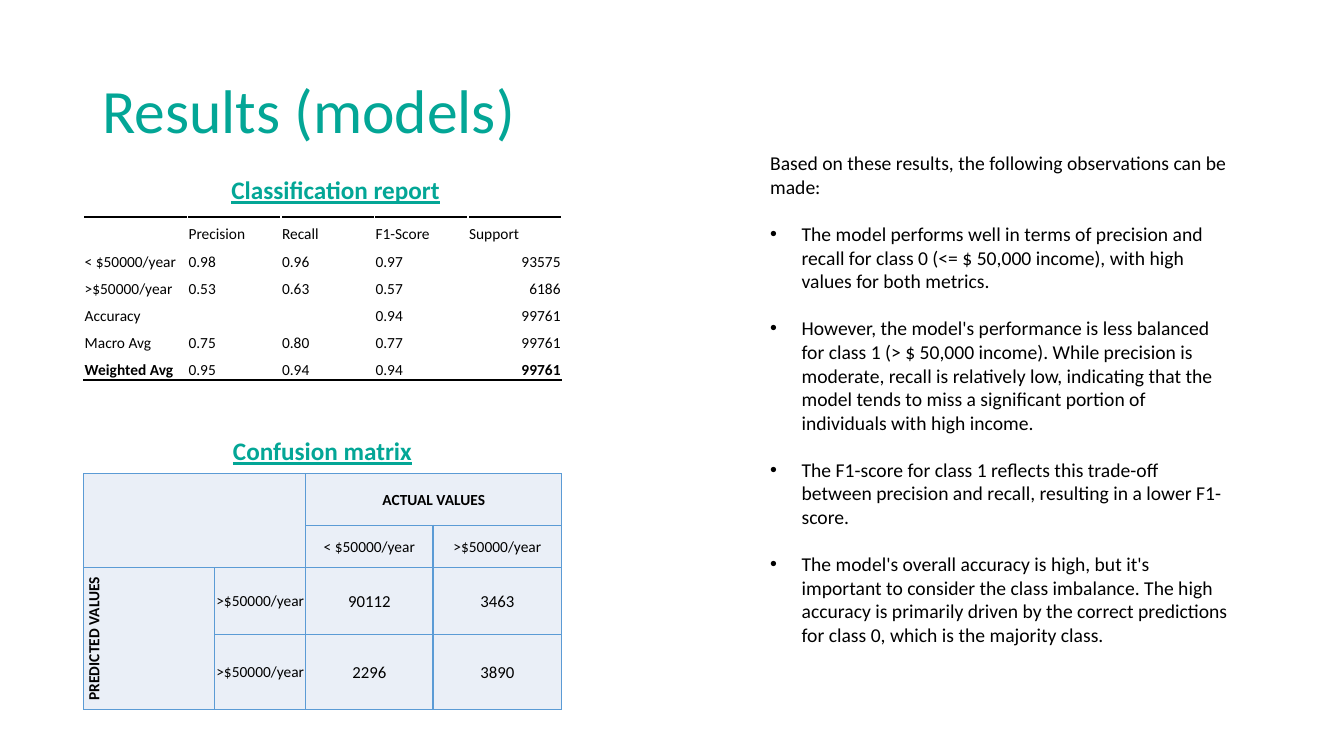
from lxml import etree
from pptx import Presentation
from pptx.dml.color import RGBColor
from pptx.enum.text import MSO_ANCHOR, MSO_AUTO_SIZE, PP_ALIGN
from pptx.oxml.ns import qn
from pptx.util import Pt

LEFT, CENTER, RIGHT = PP_ALIGN.LEFT, PP_ALIGN.CENTER, PP_ALIGN.RIGHT
MIDDLE, BOTTOM = MSO_ANCHOR.MIDDLE, MSO_ANCHOR.BOTTOM
SHAPE_TO_FIT = MSO_AUTO_SIZE.SHAPE_TO_FIT_TEXT

FONT = "Calibri"
TEAL = RGBColor(0x03, 0xA6, 0x96)
BLACK = RGBColor(0x00, 0x00, 0x00)
WHITE = RGBColor(0xFF, 0xFF, 0xFF)
PALE_BLUE = RGBColor(0xEA, 0xEF, 0xF7)
GRID_BLUE = RGBColor(0x5B, 0x9B, 0xD5)

TABLE_LEFT = 59.8
REPORT = [
    ["", "Precision", "Recall", "F1-Score", "Support"],
    ["< $50000/year", "0.98", "0.96", "0.97", "93575"],
    [">$50000/year", "0.53", "0.63", "0.57", "6186"],
    ["Accuracy", "", "", "0.94", "99761"],
    ["Macro Avg", "0.75", "0.80", "0.77", "99761"],
    ["Weighted Avg", "0.95", "0.94", "0.94", "99761"],
]
MATRIX = [
    ["", "", "ACTUAL VALUES", ""],
    ["", "", "< $50000/year", ">$50000/year"],
    ["PREDICTED VALUES", ">$50000/year", "90112", "3463"],
    ["", ">$50000/year", "2296", "3890"],
]
INTRODUCTION = "Based on these results, the following observations can be made:"
OBSERVATIONS = [
    "The model performs well in terms of precision and recall for class 0 "
    "(<= $ 50,000 income), with high values for both metrics.",
    "However, the model's performance is less balanced for class 1 "
    "(> $ 50,000 income). While precision is moderate, recall is relatively low, "
    "indicating that the model tends to miss a significant portion of individuals "
    "with high income.",
    "The F1-score for class 1 reflects this trade-off between precision and recall, "
    "resulting in a lower F1-score.",
    "The model's overall accuracy is high, but it's important to consider the class "
    "imbalance. The high accuracy is primarily driven by the correct predictions for "
    "class 0, which is the majority class.",
]


def style_paragraph(paragraph, size, color=BLACK, bold=False, alignment=LEFT):
    """Set the font and alignment of a paragraph."""
    font = paragraph.font
    font.name, font.size, font.bold = FONT, Pt(size), bold
    font.color.rgb = color
    paragraph.alignment = alignment


def add_title(slide, text):
    """Fill and place the title placeholder."""
    title = slide.shapes.title
    title.left, title.top, title.width, title.height = Pt(66), Pt(29), Pt(828), Pt(104.4)
    frame = title.text_frame
    frame.text = text
    frame.vertical_anchor = MIDDLE
    frame.paragraphs[0].line_spacing = 0.9
    style_paragraph(frame.paragraphs[0], 44, TEAL)


def add_text_frame(slide, left, top, width, height):
    """Add a wrapping text box and return its text frame."""
    box = slide.shapes.add_textbox(Pt(left), Pt(top), Pt(width), Pt(height))
    box.text_frame.word_wrap = True
    box.text_frame.auto_size = SHAPE_TO_FIT
    return box.text_frame


def add_heading(slide, text, left, top):
    """Add a centred, underlined heading above a table."""
    paragraph = add_text_frame(slide, left, top, 479.5, 29).paragraphs[0]
    paragraph.text = text
    style_paragraph(paragraph, 18, TEAL, True, CENTER)
    paragraph.font.underline = True


def add_bullet(paragraph):
    """Give a paragraph a round bullet with a hanging indent."""
    properties = paragraph._p.get_or_add_pPr()
    properties.set("marL", str(Pt(22.5)))
    properties.set("indent", str(-Pt(22.5)))
    bullet_font = etree.Element(qn("a:buFont"), typeface="Arial")
    bullet = etree.Element(qn("a:buChar"), char="•")
    position = len(properties.findall(qn("a:spcBef")))
    properties.insert(position, bullet_font)
    properties.insert(position + 1, bullet)


def add_observations(slide):
    """Add the introduction and the bulleted observations."""
    frame = add_text_frame(slide, 543, 104.4, 342, 380)
    frame.text = INTRODUCTION
    style_paragraph(frame.paragraphs[0], 14)
    for observation in OBSERVATIONS:
        paragraph = frame.add_paragraph()
        paragraph.text = observation
        style_paragraph(paragraph, 14)
        paragraph.space_before = Pt(17)
        add_bullet(paragraph)


def add_plain_table(slide, top, widths, heights):
    """Add a table without header or banding and return it."""
    frame = slide.shapes.add_table(
        len(heights), len(widths), Pt(TABLE_LEFT), Pt(top), Pt(sum(widths)), Pt(sum(heights)))
    table = frame.table
    table.first_row = table.horz_banding = False
    for column, width in zip(table.columns, widths):
        column.width = Pt(width)
    for row, height in zip(table.rows, heights):
        row.height = Pt(height)
    return table


def add_border(cell, side, color, width):
    """Draw one border of a cell; side is L, R, T or B."""
    line = etree.SubElement(cell._tc.get_or_add_tcPr(), qn(f"a:ln{side}"), w=str(Pt(width)))
    fill = etree.SubElement(line, qn("a:solidFill"))
    etree.SubElement(fill, qn("a:srgbClr"), val=str(color))


def fill_cell(cell, text, fill, anchor, alignment, size=11, bold=False):
    """Set the text, fill and margins of a cell."""
    cell.fill.solid()
    cell.fill.fore_color.rgb = fill
    cell.margin_left = cell.margin_right = cell.margin_top = Pt(0.7)
    cell.margin_bottom = 0
    cell.vertical_anchor = anchor
    paragraph = cell.text_frame.paragraphs[0]
    if text:
        paragraph.text = text
        style_paragraph(paragraph, size, BLACK, bold, alignment)
    else:
        paragraph._p.get_or_add_endParaRPr().set("sz", str(size * 100))


def add_report(slide):
    """Add the classification report, ruled above and below."""
    table = add_plain_table(slide, 155, [74.2] + [66.8] * 4, [19.4] * 6)
    last_row, last_column = len(REPORT) - 1, len(REPORT[0]) - 1
    for i, row in enumerate(REPORT):
        for j, text in enumerate(row):
            cell = table.cell(i, j)
            if i in (0, last_row):
                add_border(cell, "B" if i else "T", BLACK, 2)
            alignment = RIGHT if i and j == last_column else LEFT
            bold = i == last_row and j in (0, last_column)
            fill_cell(cell, text, WHITE, BOTTOM, alignment, bold=bold)


def add_matrix(slide):
    """Add the confusion matrix with its merged headers."""
    table = add_plain_table(slide, 338.3, [93.6, 65, 90.9, 92], [36.8, 30.4, 47.8, 53.6])
    for i, row in enumerate(MATRIX):
        for j, text in enumerate(row):
            cell = table.cell(i, j)
            for side in "LRTB":
                add_border(cell, side, GRID_BLUE, 1)
            fill_cell(cell, text, PALE_BLUE, MIDDLE, CENTER,
                      12 if text.isdigit() else 11, text.isupper())
    for first, last in [((0, 0), (1, 1)), ((0, 2), (0, 3)), ((2, 0), (3, 0))]:
        table.cell(*first).merge(table.cell(*last))
    table.cell(2, 0)._tc.get_or_add_tcPr().set("vert", "vert270")


def main():
    """Build the slide and save it."""
    presentation = Presentation()
    presentation.slide_width, presentation.slide_height = Pt(960), Pt(540)
    slide = presentation.slides.add_slide(presentation.slide_layouts[5])
    add_title(slide, "Results (models)")
    add_report(slide)
    add_matrix(slide)
    add_observations(slide)
    add_heading(slide, "Classification report", 0, 121)
    add_heading(slide, "Confusion matrix", -9.4, 307.5)
    presentation.save("out.pptx")


if __name__ == "__main__":
    main()
